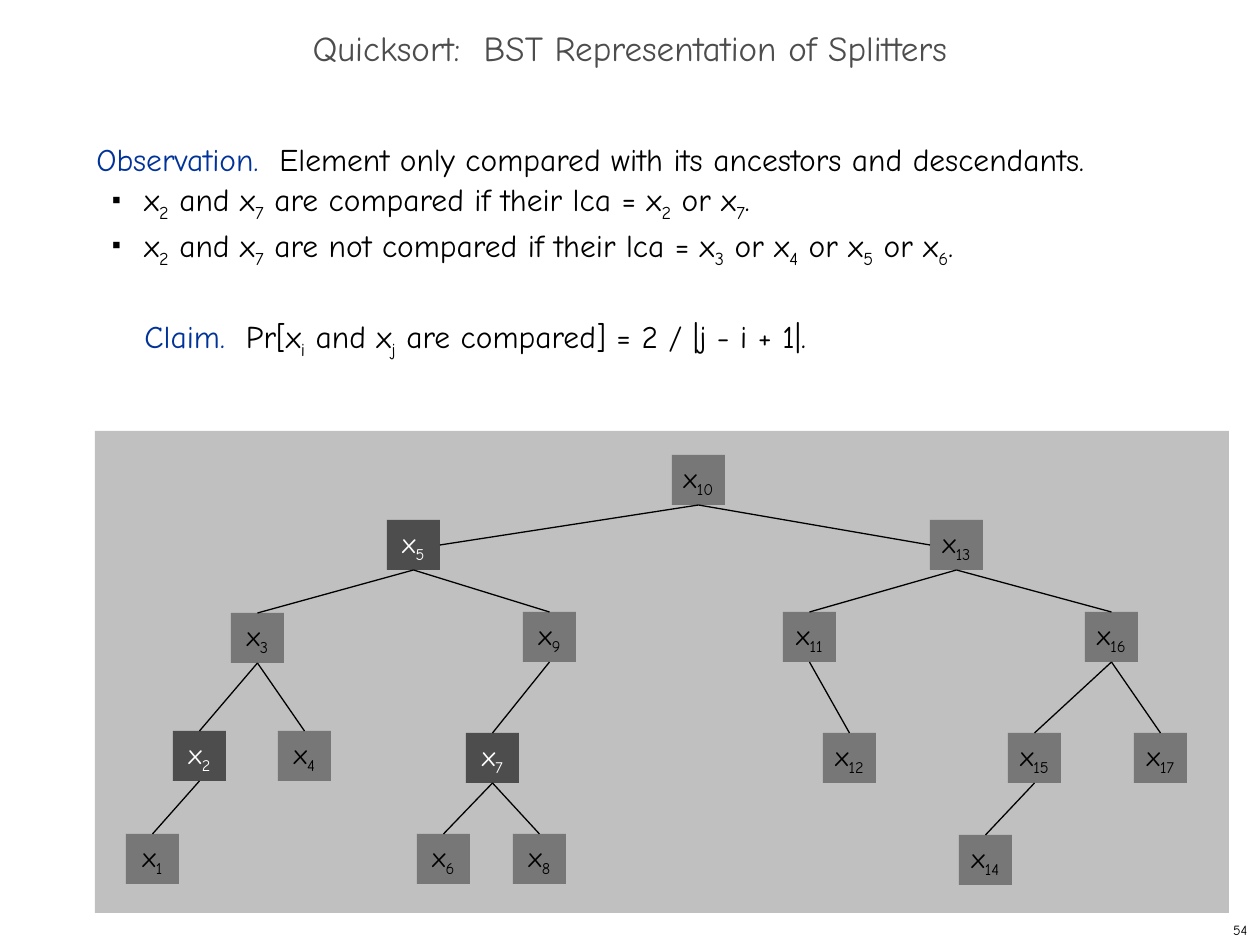
from dataclasses import dataclass

from lxml import etree
from pptx import Presentation
from pptx.dml.color import RGBColor
from pptx.enum.shapes import MSO_CONNECTOR, MSO_SHAPE
from pptx.enum.text import MSO_ANCHOR, PP_ALIGN
from pptx.oxml.ns import qn
from pptx.util import Pt

LEFT, CENTER, RIGHT = PP_ALIGN.LEFT, PP_ALIGN.CENTER, PP_ALIGN.RIGHT
TOP, MIDDLE = MSO_ANCHOR.TOP, MSO_ANCHOR.MIDDLE
RECT, STRAIGHT = MSO_SHAPE.RECTANGLE, MSO_CONNECTOR.STRAIGHT
SITE_TOP, SITE_LEFT, SITE_BOTTOM, SITE_RIGHT = range(4)
EMU_PER_PX = 914400 / 126


@dataclass(frozen=True)
class Theme:
    font: str = "Comic Neue"
    ink: str = "000000"
    title: str = "4D4D4D"
    accent: str = "003399"
    panel: str = "C0C0C0"
    node: str = "777777"
    marked: str = "4D4D4D"
    marked_ink: str = "FFFFFF"
    title_size: int = 20
    body_size: int = 18
    node_size: int = 16
    page_size: int = 8
    line_width: float = 0.75


def px(n):
    return round(n * EMU_PER_PX)


def add_bullet(pPr, color):
    clr = etree.SubElement(pPr, qn("a:buClr"))
    etree.SubElement(clr, qn("a:srgbClr"), val=color)
    etree.SubElement(pPr, qn("a:buSzPct"), val="35000")
    etree.SubElement(pPr, qn("a:buChar"), char="■")


def write(p, text, *, font, size, color, lead="", lead_color=None, align=LEFT,
          spacing=None, before=None, margin=0, indent=0, bullet=False):
    """Fill a paragraph; {braces} mark subscripts, lead is a coloured opening."""
    p.alignment = align
    if spacing is not None:
        p.line_spacing = spacing
    if before is not None:
        p.space_before = before
    pPr = p._p.get_or_add_pPr()
    pPr.set("marL", str(px(margin)))
    pPr.set("indent", str(px(indent)))
    if bullet:
        add_bullet(pPr, color)
    pieces = text.replace("}", "{").split("{")
    runs = [(lead, lead_color, False)]
    runs += [(piece, color, i % 2 == 1) for i, piece in enumerate(pieces)]
    for piece, run_color, subscript in runs:
        if not piece:
            continue
        r = p.add_run()
        r.text = piece
        r.font.name = font
        r.font.size = Pt(size)
        r.font.color.rgb = RGBColor.from_string(run_color)
        if subscript:
            r._r.get_or_add_rPr().set("baseline", "-25000")


class Deck:
    def __init__(self, theme):
        self.theme = theme
        self.prs = Presentation()
        self.prs.slide_width, self.prs.slide_height = px(1260), px(945)
        self.s = self.prs.slides.add_slide(self.prs.slide_layouts[6])

    def text(self, x, y, w, h, paragraphs, *, size, color, anchor=MIDDLE):
        sp = self.s.shapes.add_textbox(px(x), px(y), px(w), px(h))
        tf = sp.text_frame
        tf.word_wrap = True
        tf.vertical_anchor = anchor
        for i, (text, style) in enumerate(paragraphs):
            p = tf.add_paragraph() if i else tf.paragraphs[0]
            write(p, text, font=self.theme.font, size=size, color=color, **style)

    def box(self, x, y, w, h, fill):
        sp = self.s.shapes.add_shape(RECT, px(x), px(y), px(w), px(h))
        sp.shadow.inherit = False
        sp.fill.solid()
        sp.fill.fore_color.rgb = RGBColor.from_string(fill)
        sp.line.fill.background()
        return sp

    def node(self, x, y, key, marked):
        t = self.theme
        sp = self.box(x, y, 53, 50, t.marked if marked else t.node)
        tf = sp.text_frame
        tf.word_wrap = False
        tf.vertical_anchor = MIDDLE
        write(tf.paragraphs[0], f"x{{{key}}}", font=t.font, size=t.node_size,
              color=t.marked_ink if marked else t.ink, align=CENTER)
        return sp

    def edge(self, parent, child, site):
        c = self.s.shapes.add_connector(STRAIGHT, 0, 0, 0, 0)
        c.begin_connect(parent, SITE_BOTTOM)
        c.end_connect(child, site)
        c.line.color.rgb = RGBColor.from_string(self.theme.ink)
        c.line.width = Pt(self.theme.line_width)
        etree.SubElement(c._element.spPr, qn("a:effectLst"))


ROOT = 10
MARKED = {2, 5, 7}
# key: (parent, left, top), parents first
TREE = {
    10: (None, 672, 455),
    5: (10, 387, 520), 13: (10, 930, 520),
    3: (5, 231, 613), 9: (5, 523, 612),
    11: (13, 783, 612), 16: (13, 1085, 612),
    2: (3, 173, 731), 4: (3, 278, 731), 7: (9, 466, 733),
    12: (11, 823, 733), 15: (16, 1008, 733), 17: (16, 1134, 733),
    1: (2, 126, 834), 6: (7, 417, 834), 8: (7, 513, 834), 14: (15, 959, 835),
}


def main():
    t = Theme()
    deck = Deck(t)

    # Panel behind the tree
    deck.box(95, 431, 1134, 482, t.panel)

    # Title
    title = "Quicksort:  BST Representation of Splitters"
    deck.text(0, 21, 1260, 63, [(title, dict(align=CENTER, spacing=0.7))],
              size=t.title_size, color=t.title)

    # Observation, its two cases and the claim
    pitch = Pt(26)
    head = dict(spacing=pitch, lead_color=t.accent)
    case = dict(spacing=pitch, margin=48, indent=-32, bullet=True)
    deck.text(84, 126, 1144, 290, [
        ("Element only compared with its ancestors and descendants.",
         dict(head, lead="Observation.  ")),
        ("x{2} and x{7} are compared if their lca = x{2} or x{7}.", case),
        ("x{2} and x{7} are not compared if their lca = "
         "x{3} or x{4} or x{5} or x{6}.", case),
        ("Pr[x{i} and x{j} are compared] = 2 / |j - i + 1|.",
         dict(head, lead="Claim.  ", margin=48, before=pitch)),
    ], size=t.body_size, color=t.ink, anchor=TOP)

    # Search tree
    nodes = {}
    for key, (parent, x, y) in TREE.items():
        nodes[key] = deck.node(x, y, key, key in MARKED)
        if parent is None:
            continue
        site = SITE_TOP
        if parent == ROOT:
            site = SITE_RIGHT if key < ROOT else SITE_LEFT
        deck.edge(nodes[parent], nodes[key], site)

    # Page number
    deck.text(998, 914, 262, 31, [("54", dict(align=RIGHT))],
              size=t.page_size, color=t.ink)

    deck.prs.save("out.pptx")


if __name__ == "__main__":
    main()
